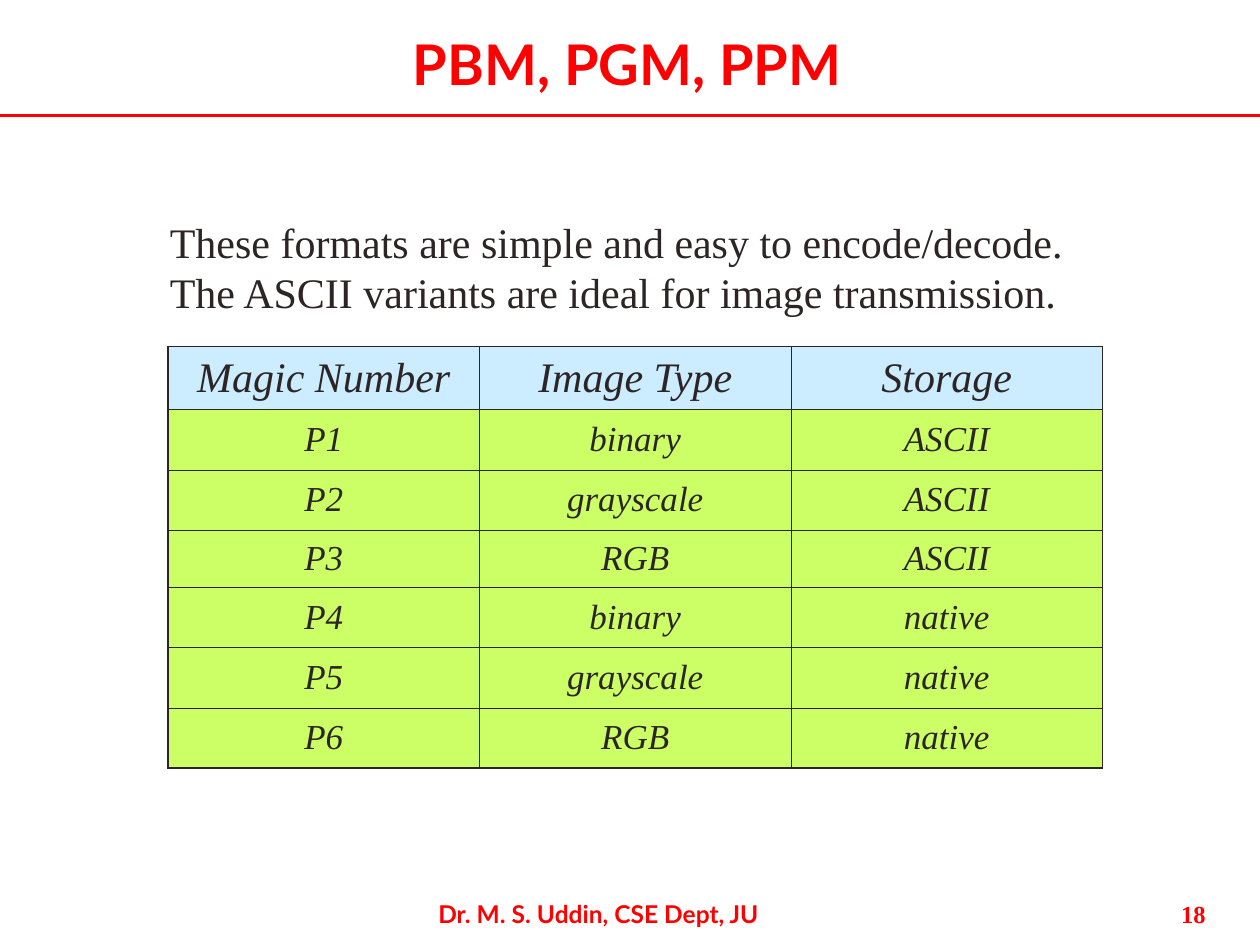
from lxml.etree import SubElement
from pptx import Presentation
from pptx.dml.color import RGBColor
from pptx.enum.shapes import MSO_CONNECTOR
from pptx.enum.text import MSO_ANCHOR, PP_ALIGN
from pptx.oxml.ns import qn
from pptx.util import Pt

RED, INK = "FF0000", "2D2525"
HEADER_FILL, BODY_FILL = "CCECFF", "CCFF66"
SERIF, SANS = "Times New Roman", "Lato"
THICK, THIN = 1.08, 0.45


def color(value):
    return RGBColor.from_string(value)


def write(frame, text, font_name, size, ink, align, bold=False, italic=False):
    frame.word_wrap = True
    paragraph = frame.paragraphs[0]
    paragraph.text = text
    paragraph.alignment = align
    font = paragraph.font
    font.name, font.size = font_name, Pt(size)
    font.bold, font.italic = bold, italic
    font.color.rgb = color(ink)


deck = Presentation()
deck.slide_width, deck.slide_height = Pt(720), Pt(540)
slide = deck.slides.add_slide(deck.slide_layouts[6])
shapes = slide.shapes

# Rule under the title
rule = shapes.add_connector(MSO_CONNECTOR.STRAIGHT, Pt(0), Pt(66), Pt(720), Pt(66))
rule.line.color.rgb = color(RED)
rule.line.width = Pt(2.25)
SubElement(rule._element.spPr, qn("a:effectLst"))

# Title, introduction and footer
center, left, right = PP_ALIGN.CENTER, PP_ALIGN.LEFT, PP_ALIGN.RIGHT
middle, top = MSO_ANCHOR.MIDDLE, MSO_ANCHOR.TOP
intro = ("These formats are simple and easy to encode/decode. "
         "The ASCII variants are ideal for image transmission.")
texts = [
    ((19.5, 18, 678, 36), middle, "PBM, PGM, PPM", SANS, 32, RED, center, True),
    ((90, 120, 534, 65), top, intro, SERIF, 24, INK, left, False),
    ((222, 510, 240, 30), top, "Dr. M. S. Uddin, CSE Dept, JU", SANS, 14, RED, center, True),
    ((576, 510, 120, 30), top, "18", SERIF, 14, RED, right, True),
]
for box, anchor, *content in texts:
    frame = shapes.add_textbox(*map(Pt, box)).text_frame
    frame.vertical_anchor = anchor
    write(frame, *content)

# Table of formats
formats = [
    ("Magic Number", "Image Type", "Storage"),
    ("P1", "binary", "ASCII"),
    ("P2", "grayscale", "ASCII"),
    ("P3", "RGB", "ASCII"),
    ("P4", "binary", "native"),
    ("P5", "grayscale", "native"),
    ("P6", "RGB", "native"),
]
row_heights = [36, 34.5, 34.5, 32.5, 34.5, 34.5, 34.5]
last_row, last_column = len(formats) - 1, len(formats[0]) - 1
table = shapes.add_table(len(formats), len(formats[0]), Pt(96), Pt(198),
                         Pt(534), Pt(sum(row_heights))).table
table.first_row = table.horz_banding = False
for column in table.columns:
    column.width = Pt(178)

for r, (values, height) in enumerate(zip(formats, row_heights)):
    table.rows[r].height = Pt(height)
    for c, value in enumerate(values):
        cell = table.cell(r, c)
        cell.vertical_anchor = middle
        write(cell.text_frame, value, SERIF, 24 if r == 0 else 20, INK, center, italic=True)

        # Thick outer frame, thin inner lines
        outer_edges = {"L": c == 0, "R": c == last_column, "T": r == 0, "B": r == last_row}
        for side, outer in outer_edges.items():
            border = SubElement(cell._tc.get_or_add_tcPr(), qn(f"a:ln{side}"),
                                w=str(Pt(THICK if outer else THIN)))
            SubElement(SubElement(border, qn("a:solidFill")), qn("a:srgbClr"), val=INK)

        cell.fill.solid()
        cell.fill.fore_color.rgb = color(HEADER_FILL if r == 0 else BODY_FILL)

deck.save("out.pptx")
